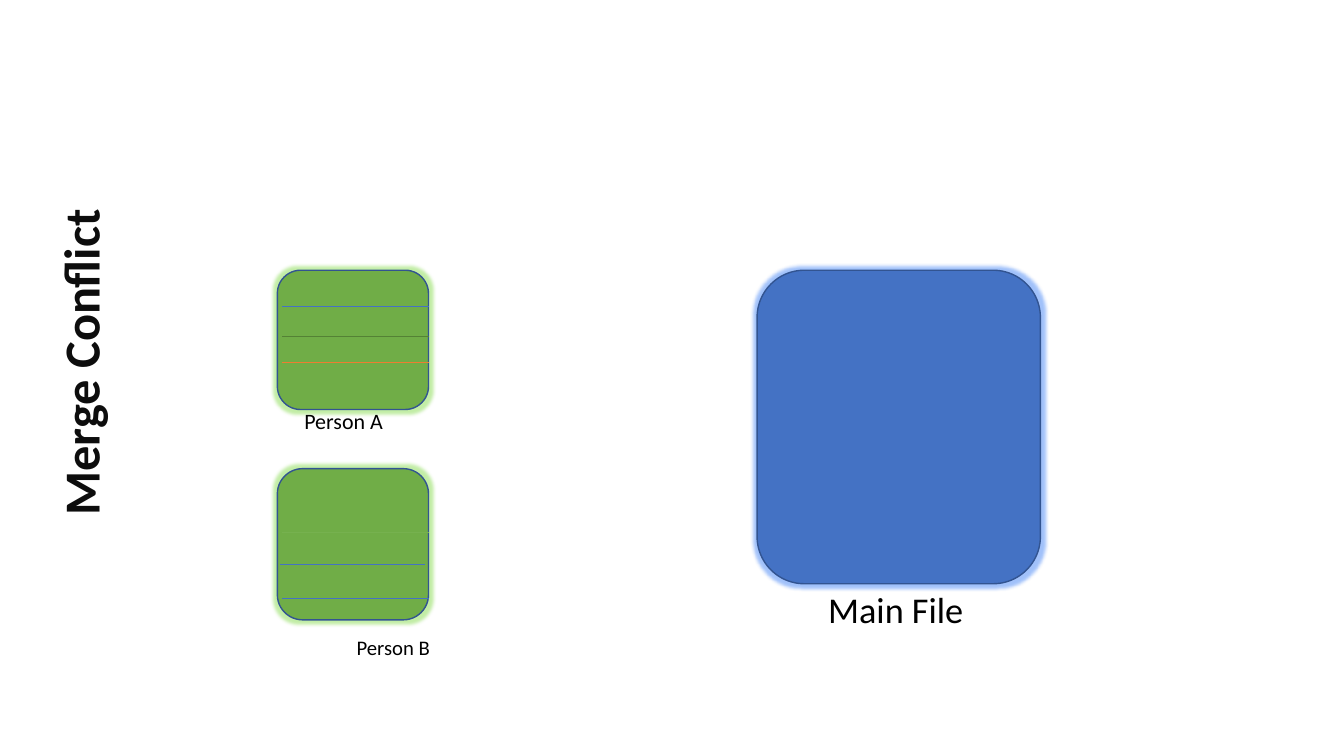
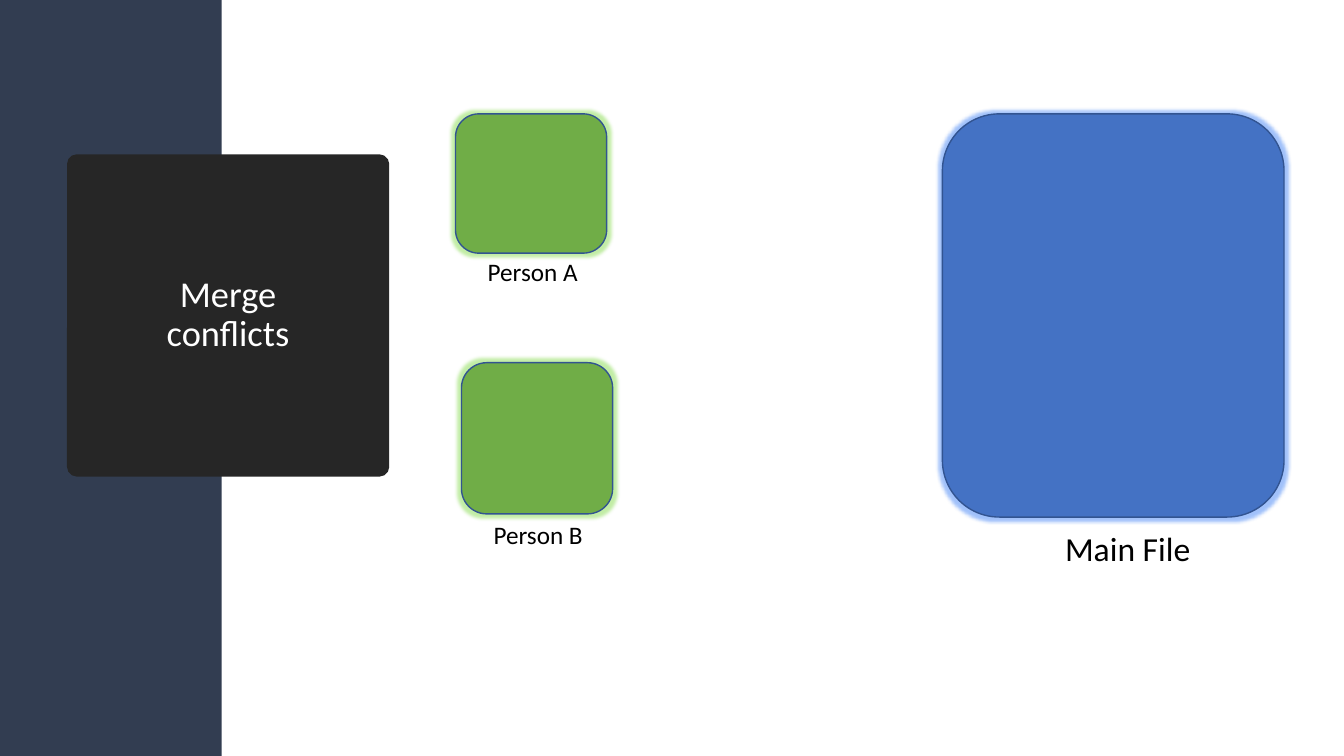
from lxml import etree
from pptx import Presentation, util as u
from pptx.dml.color import RGBColor
from pptx.enum import shapes, text
from pptx.oxml import parse_xml
from pptx.oxml.ns import nsdecls, qn

FONT = "Calibri"
COLORS = {
    "person": "70AD47", "main": "4472C4", "edge": "325491",
    "band": "323D51", "panel": "262626", "title": "0D0D0D",
    "label": "000000", "white": "FFFFFF",
    "blue": "4472C4", "orange": "ED7D31", "dark_green": "548235",
    "light_green": "76B14F",
}
ROUND = shapes.MSO_SHAPE.ROUNDED_RECTANGLE
PROCESS = shapes.MSO_SHAPE.FLOWCHART_ALTERNATE_PROCESS

# Content, lengths in cm
# files: preset, colour, (left, top, width, height)
# labels: wording, size, left, vertical centre
# changes: colour, left, right, height on the slide
OVERVIEW = {
    "files": [
        (ROUND, "person", (6.99, 6.81, 3.81, 3.51)),
        (PROCESS, "person", (6.99, 11.81, 3.81, 3.81)),
        (PROCESS, "main", (19.08, 6.81, 7.14, 7.9)),
    ],
    "labels": [
        ("Person A", 15.7, 7.42, 10.64),
        ("Person B", 14.8, 8.74, 16.36),
        ("Main File", 25.9, 20.62, 15.42),
    ],
    "changes": [
        ("blue", 7.11, 10.8, 7.72),
        ("dark_green", 7.11, 10.8, 8.48),
        ("orange", 7.11, 10.8, 9.12),
        ("light_green", 7.11, 10.8, 13.41),
        ("blue", 7.06, 10.72, 14.22),
        ("blue", 7.11, 10.8, 15.09),
    ],
}
EMPTY_FILES = {
    "files": [
        (PROCESS, "main", (23.75, 2.87, 8.61, 10.16)),
        (ROUND, "person", (11.48, 2.87, 3.81, 3.51)),
        (PROCESS, "person", (11.63, 9.14, 3.81, 3.81)),
    ],
    "labels": [
        ("Person A", 18, 12.04, 6.88),
        ("Person B", 18, 12.19, 13.51),
        ("Main File", 24, 26.59, 13.87),
    ],
    "changes": [],
}


def rgb(name):
    return RGBColor.from_string(COLORS[name])


def add_box(s, preset, at, fill, edge=None):
    sp = s.shapes.add_shape(preset, *map(u.Cm, at))
    sp.shadow.inherit = False
    sp.fill.solid()
    sp.fill.fore_color.rgb = rgb(fill)
    if edge:
        sp.line.color.rgb = rgb(edge)
        sp.line.width = u.Pt(1)
    else:
        sp.line.fill.background()
    return sp


def write(sp, lines, size, color, bold=False, centered=True):
    tf = sp.text_frame
    tf.word_wrap = True
    tf.vertical_anchor = text.MSO_ANCHOR.MIDDLE
    p = tf.paragraphs[0]
    p.alignment = text.PP_ALIGN.CENTER if centered else text.PP_ALIGN.LEFT
    p.line_spacing = 0.9
    for i, line in enumerate(lines):
        if i:
            p.add_line_break()
        r = p.add_run()
        r.text = line
        r.font.name = FONT
        r.font.size = u.Pt(size)
        r.font.bold = bold
        r.font.color.rgb = rgb(color)


def add_file(s, preset, color, at):
    sp = add_box(s, preset, at, color, "edge")
    effects = sp._element.spPr.find(qn("a:effectLst"))
    effects.append(parse_xml(
        f'<a:glow {nsdecls("a")} rad="63500"><a:srgbClr val="{COLORS[color]}">'
        '<a:satMod val="175000"/><a:alpha val="40000"/></a:srgbClr></a:glow>'))


def add_label(s, wording, size, left, middle):
    height = 1.2
    sp = s.shapes.add_textbox(u.Cm(left), u.Cm(middle - height / 2),
                              u.Cm(5), u.Cm(height))
    write(sp, [wording], size, "label", centered=False)


def add_change(s, color, left, right, y):
    line = s.shapes.add_connector(shapes.MSO_CONNECTOR.STRAIGHT,
                                  u.Cm(left), u.Cm(y), u.Cm(right), u.Cm(y))
    line.line.color.rgb = rgb(color)
    line.line.width = u.Pt(0.5)
    etree.SubElement(line._element.spPr, qn("a:effectLst"))


def add_diagram(s, content):
    for item in content["files"]:
        add_file(s, *item)
    for item in content["changes"]:
        add_change(s, *item)
    for item in content["labels"]:
        add_label(s, *item)


def main():
    prs = Presentation()
    prs.slide_width, prs.slide_height = u.Cm(33.87), u.Cm(19.05)
    blank = prs.slide_layouts[6]

    # Slide 1: vertical title and changed lines
    s = prs.slides.add_slide(blank)
    add_diagram(s, OVERVIEW)
    sp = s.shapes.add_textbox(u.Cm(-5.4), u.Cm(7.88), u.Cm(15), u.Cm(2.5))
    sp.rotation = 270
    write(sp, ["Merge Conflict"], 36, "title", bold=True)

    # Slide 2: side band with title panel
    s = prs.slides.add_slide(blank)
    add_box(s, shapes.MSO_SHAPE.RECTANGLE, (0, 0, 5.59, 19.05), "band")
    panel = add_box(s, ROUND, (1.69, 3.89, 8.12, 8.12), "panel")
    panel.adjustments[0] = 0.03
    write(panel, ["Merge", "conflicts"], 26, "white")
    add_diagram(s, EMPTY_FILES)

    prs.save("out.pptx")


if __name__ == "__main__":
    main()
